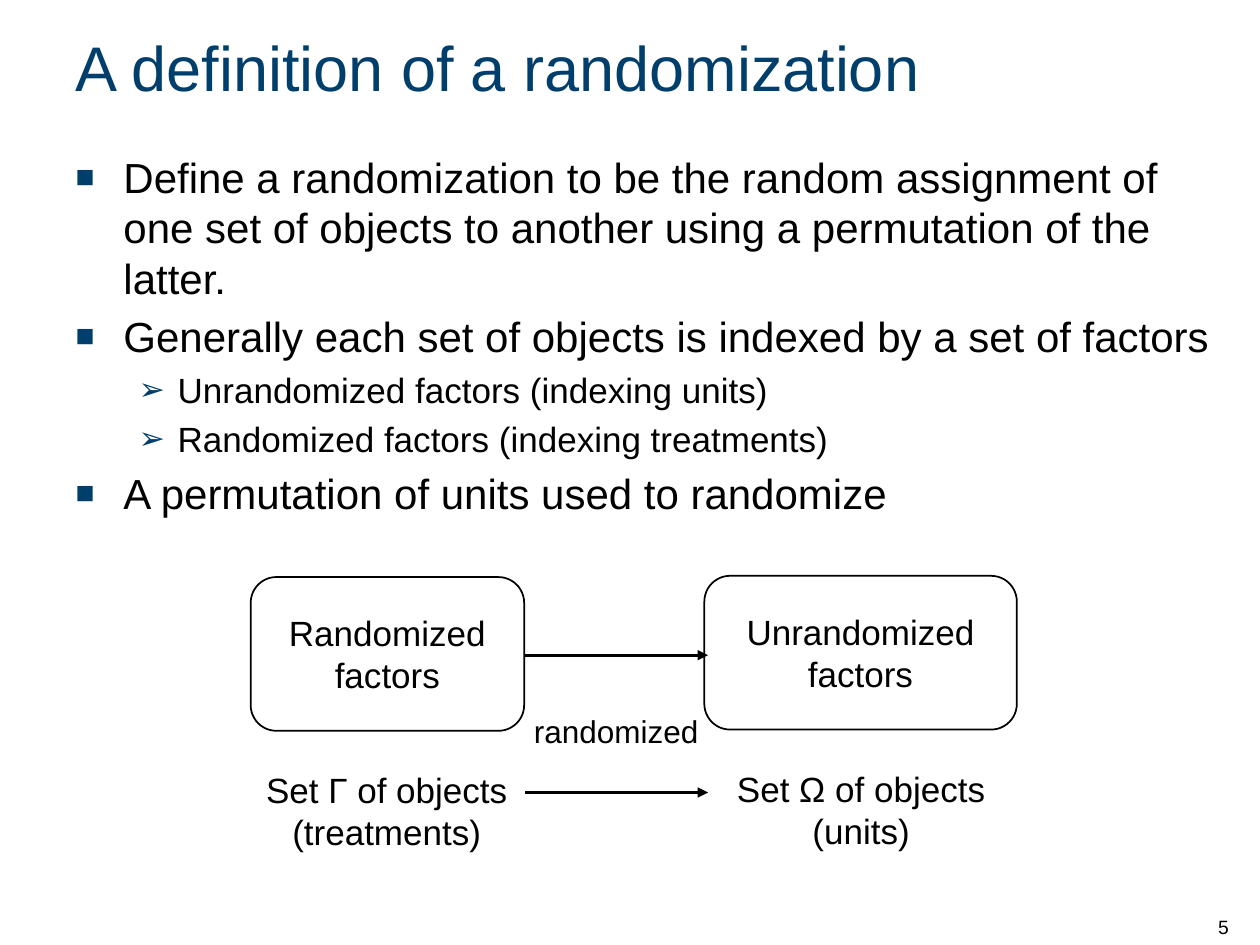
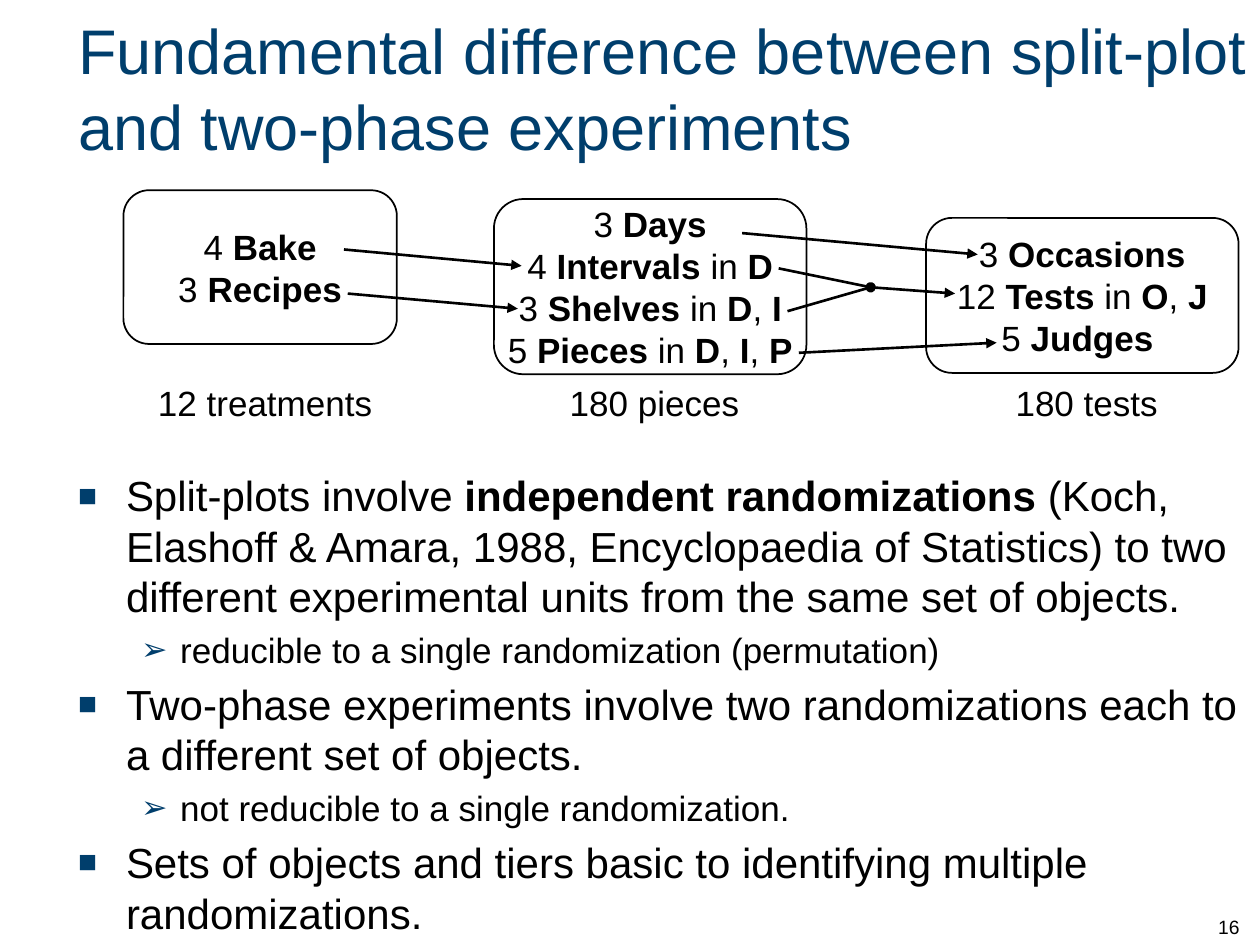
"""Builds two slides on randomization in split-plot and two-phase experiments."""
from lxml import etree
from pptx import Presentation
from pptx.dml.color import RGBColor
from pptx.enum.shapes import MSO_CONNECTOR, MSO_SHAPE
from pptx.enum.text import MSO_ANCHOR, MSO_AUTO_SIZE, PP_ALIGN
from pptx.oxml.ns import qn
from pptx.util import Inches, Pt

FONT = "Arial"
NAVY = "003E6C"
BLACK = "000000"
LEFT, CENTER = PP_ALIGN.LEFT, PP_ALIGN.CENTER
TOP, MIDDLE, BOTTOM = MSO_ANCHOR.TOP, MSO_ANCHOR.MIDDLE, MSO_ANCHOR.BOTTOM
NO_AUTOFIT = MSO_AUTO_SIZE.NONE
STRAIGHT = MSO_CONNECTOR.STRAIGHT
ROUNDED = MSO_SHAPE.ROUNDED_RECTANGLE
BULLET_LEVELS = [
    {"size": 24, "margin": 0.38, "indent": -0.38, "mark": "■", "scale": 75},
    {"size": 20, "margin": 0.81, "indent": -0.31, "mark": "➢", "scale": 90},
]


def color(value):
    return RGBColor.from_string(value)


def place(shape, box):
    shape.left, shape.top, shape.width, shape.height = map(Inches, box)


def add_runs(paragraph, text):
    for index, part in enumerate(text.split("**")):
        if part:
            run = paragraph.add_run()
            run.text = part
            if index % 2:
                run.font.bold = True


def set_font(paragraph, size, value=BLACK):
    paragraph.font.name = FONT
    paragraph.font.size = Pt(size)
    paragraph.font.color.rgb = color(value)


def write_lines(frame, lines, size, align=CENTER, anchor=TOP, wrap=True, value=BLACK):
    frame.auto_size = NO_AUTOFIT
    frame.word_wrap = wrap
    frame.vertical_anchor = anchor
    for index, line in enumerate(lines):
        paragraph = frame.add_paragraph() if index else frame.paragraphs[0]
        paragraph.alignment = align
        add_runs(paragraph, line)
        set_font(paragraph, size, value)


def add_bullet(paragraph, style):
    properties = paragraph._p.get_or_add_pPr()
    properties.set("marL", str(Inches(style["margin"])))
    properties.set("indent", str(Inches(style["indent"])))
    bullet_color = etree.SubElement(properties, qn("a:buClr"))
    etree.SubElement(bullet_color, qn("a:srgbClr"), val=NAVY)
    etree.SubElement(properties, qn("a:buSzPct"), val=str(style["scale"] * 1000))
    etree.SubElement(properties, qn("a:buFont"), typeface=FONT)
    etree.SubElement(properties, qn("a:buChar"), char=style["mark"])


def fill_body(body, box, items):
    place(body, box)
    frame = body.text_frame
    frame.auto_size = NO_AUTOFIT
    frame.vertical_anchor = TOP
    for index, (level, text) in enumerate(items):
        style = BULLET_LEVELS[level]
        paragraph = frame.add_paragraph() if index else frame.paragraphs[0]
        paragraph.level = level
        paragraph.alignment = LEFT
        add_bullet(paragraph, style)
        paragraph.space_before = Pt(style["size"] * 0.2 if index else 0)
        add_runs(paragraph, text)
        set_font(paragraph, style["size"])


def add_label(slide, box, lines, size=20, align=CENTER, anchor=TOP):
    label = slide.shapes.add_textbox(*map(Inches, box))
    write_lines(label.text_frame, lines, size, align, anchor)


def add_factor_box(slide, box, lines):
    shape = slide.shapes.add_shape(ROUNDED, *map(Inches, box))
    shape.shadow.inherit = False
    shape.adjustments[0] = 0.167
    shape.fill.background()
    shape.line.color.rgb = color(BLACK)
    shape.line.width = Pt(1)
    write_lines(shape.text_frame, lines, 20, anchor=MIDDLE, wrap=False)


def add_line(slide, start, end, head="triangle"):
    line = slide.shapes.add_connector(STRAIGHT, *map(Inches, start + end))
    line.line.color.rgb = color(BLACK)
    line.line.width = Pt(1.5)
    if head:
        etree.SubElement(line.line._get_or_add_ln(), qn("a:tailEnd"), type=head)
    etree.SubElement(line._element.spPr, qn("a:effectLst"))


def add_content_slide(presentation, title, title_box, items, body_box, number):
    slide = presentation.slides.add_slide(presentation.slide_layouts[1])
    place(slide.shapes.title, title_box)
    write_lines(slide.shapes.title.text_frame, [title], 36, LEFT, MIDDLE, value=NAVY)
    fill_body(slide.placeholders[1], body_box, items)
    add_label(slide, (9.57, 7, 0.42, 0.5), [number], 11, LEFT, BOTTOM)
    return slide


def build_definition(presentation):
    slide = add_content_slide(
        presentation, "A definition of a randomization", (0.5, 0.08, 9, 0.9),
        [
            (0, "Define a randomization to be the random assignment of one set of "
                "objects to another using a permutation of the latter."),
            (0, "Generally each set of objects is indexed by a set of factors"),
            (1, "Unrandomized factors (indexing units)"),
            (1, "Randomized factors (indexing treatments)"),
            (0, "A permutation of units used to randomize"),
        ],
        (0.5, 1.15, 9.25, 3.25), "5")
    add_factor_box(slide, (1.99, 4.58, 2.17, 1.22), ["Randomized", "factors"])
    add_factor_box(slide, (5.59, 4.57, 2.48, 1.22), ["Unrandomized", "factors"])
    add_label(slide, (3.74, 5.6, 2.3, 0.4), ["randomized"], 18)
    add_label(slide, (1.99, 6.05, 2.16, 0.77), ["Set Γ of objects", "(treatments)"])
    add_label(slide, (5.7, 6.04, 2.27, 0.77), ["Set Ω of objects", "(units)"])
    for y in (5.2, 6.29):
        add_line(slide, (4.17, y), (5.62, y))


def build_difference(presentation):
    slide = add_content_slide(
        presentation,
        "Fundamental difference between split-plot and two-phase experiments",
        (0.52, -0.01, 9.48, 1.41),
        [
            (0, "Split-plots involve **independent randomizations** (Koch, Elashoff "
                "& Amara, 1988, Encyclopaedia of Statistics) to two different "
                "experimental units from the same set of objects."),
            (1, "reducible to a single randomization (permutation)"),
            (0, "Two-phase experiments involve two randomizations each to a "
                "different set of objects."),
            (1, "not reducible to a single randomization."),
            (0, "Sets of objects and tiers basic to identifying multiple "
                "randomizations."),
        ],
        (0.52, 3.68, 9.48, 3.79), "16")
    tiers = [
        ((0.98, 1.51, 2.17, 1.22), ["4 **Bake**", "3 **Recipes**"],
         1.14, "12 treatments"),
        ((3.92, 1.58, 2.48, 1.39),
         ["3 **Days**", "4 **Intervals** in **D**", "3 **Shelves** in **D**, **I**",
          "5** Pieces** in **D**, **I**, **P**"],
         4.23, "180 pieces"),
        ((7.35, 1.73, 2.48, 1.23),
         ["3 **Occasions**", "12 **Tests** in **O**, **J**", "5** Judges **"],
         7.66, "180 tests"),
    ]
    for box, factors, label_left, label in tiers:
        add_factor_box(slide, box, factors)
        add_label(slide, (label_left, 2.98, 1.93, 0.44), [label])
    junction = (6.91, 2.28)
    for start, end, head in [
        ((2.73, 1.98), (4.14, 2.11), "triangle"),
        ((2.76, 2.33), (4.11, 2.45), "triangle"),
        ((5.89, 1.85), (7.76, 2.02), "triangle"),
        (junction, (7.58, 2.33), "triangle"),
        ((6.18, 2.13), junction, None),
        ((6.25, 2.47), junction, "oval"),
        ((6.34, 2.8), (7.91, 2.72), "triangle"),
    ]:
        add_line(slide, start, end, head)


def main():
    presentation = Presentation()
    presentation.slide_width = Inches(10)
    presentation.slide_height = Inches(7.5)
    build_definition(presentation)
    build_difference(presentation)
    presentation.save("out.pptx")


if __name__ == "__main__":
    main()
